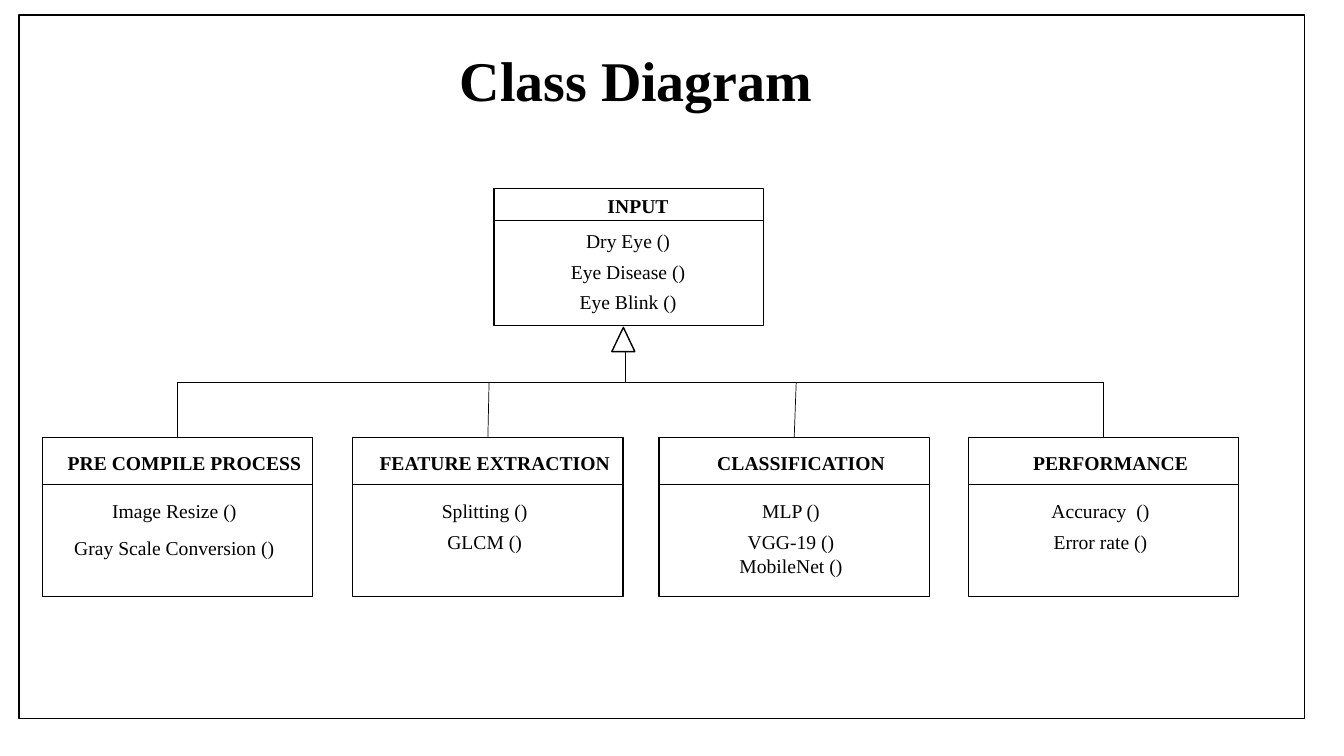
from lxml import etree
from pptx import Presentation
from pptx.dml.color import RGBColor
from pptx.enum.shapes import MSO_CONNECTOR, MSO_SHAPE
from pptx.enum.text import PP_ALIGN
from pptx.oxml.ns import qn
from pptx.util import Cm, Pt

RECT, TRIANGLE = MSO_SHAPE.RECTANGLE, MSO_SHAPE.ISOSCELES_TRIANGLE
STRAIGHT = MSO_CONNECTOR.STRAIGHT
CENTER = PP_ALIGN.CENTER
TOP_SIDE = 0

FONT = "Times New Roman"
COLORS = {"ink": "000000", "paper": "FFFFFF"}

INPUT_BOX = (12.45, 4.75, 6.8, 3.45)
INPUT_MEMBERS = [("Dry Eye ()", 0.89), ("Eye Disease ()", 1.68), ("Eye Blink ()", 2.44)]

CHILD_TOP, CHILD_W, CHILD_H = 11.02, 6.81, 4.01
# left edge, title, members with their offset from the top, slant of the branch
CHILDREN = [
    (1.07, "PRE COMPILE PROCESS",
     [("Image Resize ()", 1.42), ("Gray Scale Conversion ()", 2.36)], 0),
    (8.89, "FEATURE EXTRACTION", [("Splitting ()", 1.42), ("GLCM ()", 2.21)], 0.03),
    (16.61, "CLASSIFICATION",
     [("MLP ()", 1.42), ("VGG-19 ()\nMobileNet ()", 2.21)], 0.05),
    (24.41, "PERFORMANCE", [("Accuracy  ()", 1.42), ("Error rate ()", 2.21)], 0),
]


def rgb(name):
    return RGBColor.from_string(COLORS[name])


def add_outline(slide, kind, box, filled=True):
    sp = slide.shapes.add_shape(kind, *map(Cm, box))
    sp.shadow.inherit = False
    if filled:
        sp.fill.solid()
        sp.fill.fore_color.rgb = rgb("paper")
    else:
        sp.fill.background()
    sp.line.color.rgb = rgb("ink")
    sp.line.width = Pt(1)
    return sp


def add_line(slide, x1, y1, x2, y2):
    line = slide.shapes.add_connector(STRAIGHT, Cm(x1), Cm(y1), Cm(x2), Cm(y2))
    line.line.color.rgb = rgb("ink")
    line.line.width = Pt(0.5)
    etree.SubElement(line._element.spPr, qn("a:effectLst"))
    return line


def add_label(slide, box, text, size=14, bold=False):
    tf = slide.shapes.add_textbox(*map(Cm, box)).text_frame
    tf.word_wrap = True
    tf.text = text
    for p in tf.paragraphs:
        p.alignment = CENTER
        for r in p.runs:
            r.font.name = FONT
            r.font.size = Pt(size)
            r.font.bold = bold
            r.font.color.rgb = rgb("ink")


def add_class(slide, box, header_h, title, title_at, members, member_at):
    """Draw a class; title_at is (dx, dy, width), member_at is (dx, width)."""
    left, top, width, _ = box
    sp = add_outline(slide, RECT, box)
    add_line(slide, left, top + header_h, left + width, top + header_h)
    dx, dy, title_w = title_at
    add_label(slide, (left + dx, top + dy, title_w, 0.86), title, bold=True)
    dx, member_w = member_at
    for text, dy in members:
        height = 0.86 + 0.59 * text.count("\n")
        add_label(slide, (left + dx, top + dy, member_w, height), text)
    return sp


def add_hierarchy(slide, input_box, children):
    add_class(slide, input_box, 0.81, "INPUT", (0.66, 0, 5.94),
              INPUT_MEMBERS, (0.41, 5.94))
    bar_y = 9.63
    centers = []
    for left, title, members, slant in children:
        box = (left, CHILD_TOP, CHILD_W, CHILD_H)
        sp = add_class(slide, box, 1.19, title, (0.34, 0.23, 6.48),
                       members, (0.34, 5.97))
        center = left + CHILD_W / 2
        centers.append(center)
        branch = add_line(slide, center + slant, bar_y, center, CHILD_TOP)
        branch.end_connect(sp, TOP_SIDE)
    add_line(slide, centers[0], bar_y, centers[-1], bar_y)

    arrow_top = input_box[1] + input_box[3] + 0.05
    add_outline(slide, TRIANGLE, (15.42, arrow_top, 0.58, 0.61))
    add_line(slide, 15.75, arrow_top + 0.61, 15.75, bar_y)


def main():
    prs = Presentation()
    prs.slide_width, prs.slide_height = Cm(33.87), Cm(19.05)
    slide = prs.slides.add_slide(prs.slide_layouts[6])
    add_label(slide, (2.01, 1.02, 28.04, 1.96), "Class Diagram", size=40, bold=True)
    add_outline(slide, RECT, (0.48, 0.38, 32.39, 17.73), filled=False)
    add_hierarchy(slide, INPUT_BOX, CHILDREN)
    prs.save("out.pptx")


if __name__ == "__main__":
    main()
